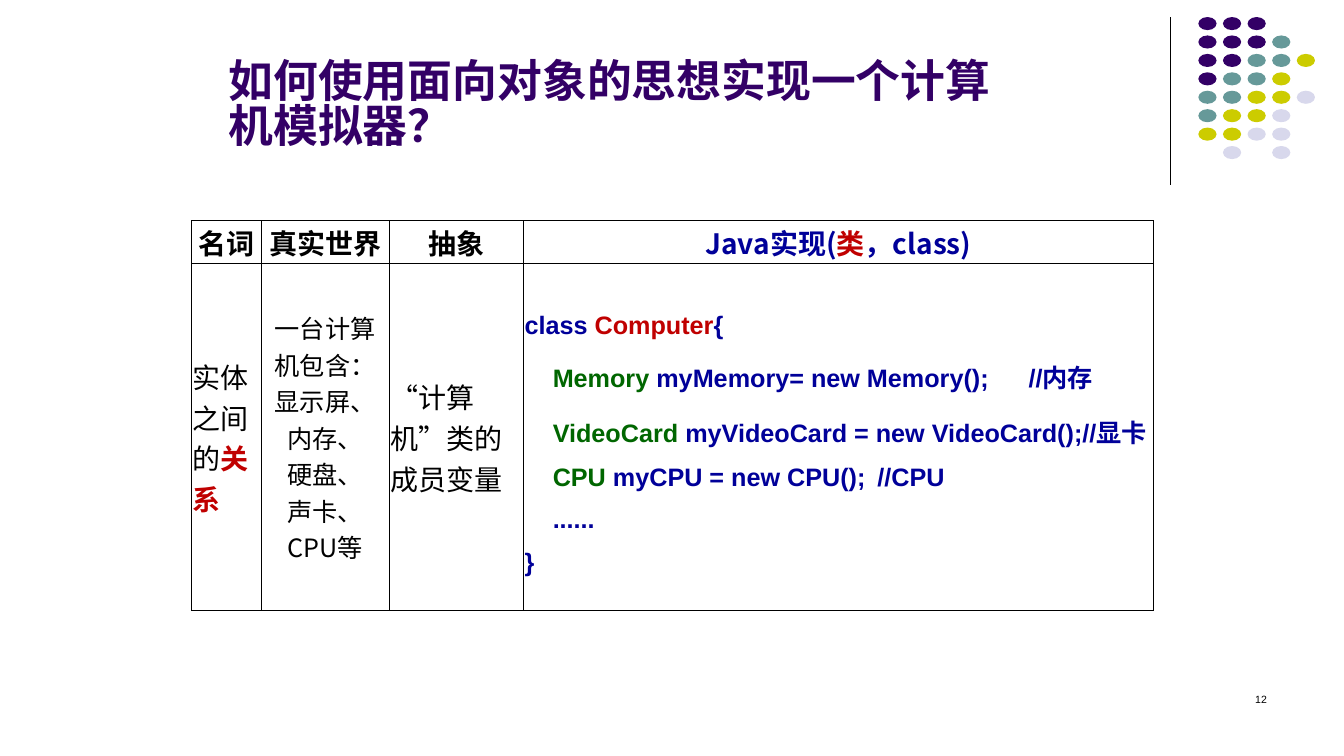
from dataclasses import dataclass, field

import pptx
import pptx.dml.color
import pptx.enum.shapes
import pptx.enum.text
import pptx.oxml.ns
import pptx.oxml.xmlchemy
import pptx.util
from lxml import etree

Cm = pptx.util.Cm
Pt = pptx.util.Pt
Align = pptx.enum.text.PP_ALIGN
Anchor = pptx.enum.text.MSO_ANCHOR
qn = pptx.oxml.ns.qn

COLORS = {
    "black": "000000", "purple": "330066", "teal": "669999", "olive": "CCCC00",
    "lavender": "D8D8EC", "navy": "000099", "red": "C00000", "green": "006600",
}
HAN = "Noto Sans CJK SC"
ARIAL = "Arial"


@dataclass
class Span:
    text: str
    color: str = "black"
    size: float = 20
    bold: bool = False
    font: str = HAN


@dataclass
class Para:
    spans: list[Span]
    align: Align = Align.LEFT
    spacing: float = 1.0
    indent: float = 0
    tab: float = 0


@dataclass
class TextBox:
    left: float
    top: float
    width: float
    height: float
    anchor: Anchor
    paras: list[Para] = field(default_factory=list)


def rgb(name: str) -> pptx.dml.color.RGBColor:
    return pptx.dml.color.RGBColor.from_string(COLORS[name])


def write(frame, paras: list[Para]) -> None:
    for number, para in enumerate(paras):
        line = frame.add_paragraph() if number else frame.paragraphs[0]
        line.alignment = para.align
        line.line_spacing = para.spacing
        props = line._p.get_or_add_pPr()
        if para.indent:
            props.set("marL", "0")
            props.set("indent", str(Cm(para.indent)))
        if para.tab:
            tabs = etree.SubElement(props, qn("a:tabLst"))
            etree.SubElement(tabs, qn("a:tab"), pos=str(Cm(para.tab)), algn="l")
        for span in para.spans:
            run = line.add_run()
            run.text = span.text
            run.font.size = Pt(span.size)
            run.font.bold = span.bold
            run.font.name = span.font
            run.font.color.rgb = rgb(span.color)
            etree.SubElement(run._r.get_or_add_rPr(), qn("a:ea"), typeface=HAN)


def add_text(slide, box: TextBox) -> None:
    shape = slide.shapes.add_textbox(Cm(box.left), Cm(box.top), Cm(box.width), Cm(box.height))
    shape.text_frame.word_wrap = True
    shape.text_frame.vertical_anchor = box.anchor
    write(shape.text_frame, box.paras)


def add_divider(slide) -> None:
    divider = slide.shapes.add_connector(
        pptx.enum.shapes.MSO_CONNECTOR.STRAIGHT, Cm(29.49), Cm(0.43), Cm(29.49), Cm(4.65))
    divider.line.color.rgb = rgb("black")
    divider.line.width = Pt(0.75)
    etree.SubElement(divider._element.spPr, qn("a:effectLst"))


def add_dots(slide, rows: list[str]) -> None:
    tints = {"P": "purple", "T": "teal", "O": "olive", "L": "lavender"}
    for row, letters in enumerate(rows):
        for col, letter in enumerate(letters):
            if letter not in tints:
                continue
            dot = slide.shapes.add_shape(
                pptx.enum.shapes.MSO_SHAPE.OVAL,
                Cm(30.2 + 0.62 * col), Cm(0.43 + 3.25 / 7 * row), Cm(0.46), Cm(0.33))
            dot.shadow.inherit = False
            dot.fill.solid()
            dot.fill.fore_color.rgb = rgb(tints[letter])
            dot.line.fill.background()


def add_borders(cell) -> None:
    props = cell._tc.get_or_add_tcPr()
    for place, side in enumerate(("lnL", "lnR", "lnT", "lnB")):
        border = etree.Element(qn(f"a:{side}"), w=str(Pt(0.5)))
        fill = etree.SubElement(border, qn("a:solidFill"))
        etree.SubElement(fill, qn("a:srgbClr"), val=COLORS["black"])
        props.insert(place, border)


def add_grid(slide, contents: list[list[list[Para]]]) -> None:
    widths = [1.75, 3.23, 3.38, 15.88]
    heights = [1.07, 8.74]
    grid = slide.shapes.add_table(
        len(heights), len(widths), Cm(4.83), Cm(5.56), Cm(sum(widths)), Cm(sum(heights))).table
    grid.first_row = False
    grid.horz_banding = False
    for column, width in zip(grid.columns, widths):
        column.width = Cm(width)
    for row, height, paras_in_row in zip(grid.rows, heights, contents):
        row.height = Cm(height)
        for cell, paras in zip(row.cells, paras_in_row):
            cell.margin_left = cell.margin_right = cell.margin_top = Cm(0.03)
            cell.margin_bottom = 0
            cell.vertical_anchor = Anchor.MIDDLE
            cell.fill.background()
            add_borders(cell)
            write(cell.text_frame, paras)


def heading(*spans: tuple[str, str]) -> list[Para]:
    return [Para([Span(text, color, bold=True) for text, color in spans], Align.CENTER)]


def code(*spans: tuple[str, str], indent: float = 0.71, tab: float = 0) -> Para:
    return Para([Span(text, color, 18, True, ARIAL) for text, color in spans],
                spacing=1.5, indent=indent, tab=tab)


DOT_ROWS = ["PPP", "PPPT", "PPTTO", "PTTO", "TTOOL", "TOOL", "OOLL", ".L.L"]

HEADINGS = [
    heading(("名词", "black")),
    heading(("真实世界", "black")),
    heading(("抽象", "black")),
    heading(("Java实现(", "navy"), ("类", "red"), ("，class)", "navy")),
]

RELATION = [Para([Span("实体之间的"), Span("关系", "red", bold=True)])]
REAL_WORLD = [Para([Span(part, size=18)], Align.CENTER)
              for part in ("一台计算机包含：显示屏、内存、", "硬盘、", "声卡、", "CPU等")]
ABSTRACTION = [Para([Span("“计算机”类的成员变量")])]
JAVA_CLASS = [
    code(("class ", "navy"), ("Computer", "red"), ("{", "navy"), indent=0),
    code(("Memory ", "green"), ("myMemory= new Memory();\t//内存", "navy"), tab=12.04),
    code(("VideoCard ", "green"), ("myVideoCard = new VideoCard();//显卡", "navy")),
    code(("CPU ", "green"), ("myCPU = new CPU();\t//CPU", "navy"), tab=9.17),
    code(("......", "navy")),
    code(("}", "navy"), indent=0),
]

TITLE = TextBox(5.51, 0.33, 19.96, 3.61, Anchor.BOTTOM, [
    Para([Span("如何使用面向对象的思想实现一个计算机模拟器？", "purple", 32, True, ARIAL)],
         spacing=0.83)])
PAGE_NUMBER = TextBox(24.28, 17.35, 7.9, 1.27, Anchor.TOP, [
    Para([Span("12", size=7.5, font=ARIAL)], Align.RIGHT)])


def main() -> None:
    deck = pptx.Presentation()
    deck.slide_width, deck.slide_height = Cm(33.87), Cm(19.05)
    slide = deck.slides.add_slide(deck.slide_layouts[6])

    # Corner decoration
    add_divider(slide)
    add_dots(slide, DOT_ROWS)

    # Table from noun to Java class
    add_grid(slide, [HEADINGS, [RELATION, REAL_WORLD, ABSTRACTION, JAVA_CLASS]])

    # Page number and title
    add_text(slide, PAGE_NUMBER)
    add_text(slide, TITLE)

    deck.save("out.pptx")


if __name__ == "__main__":
    main()
